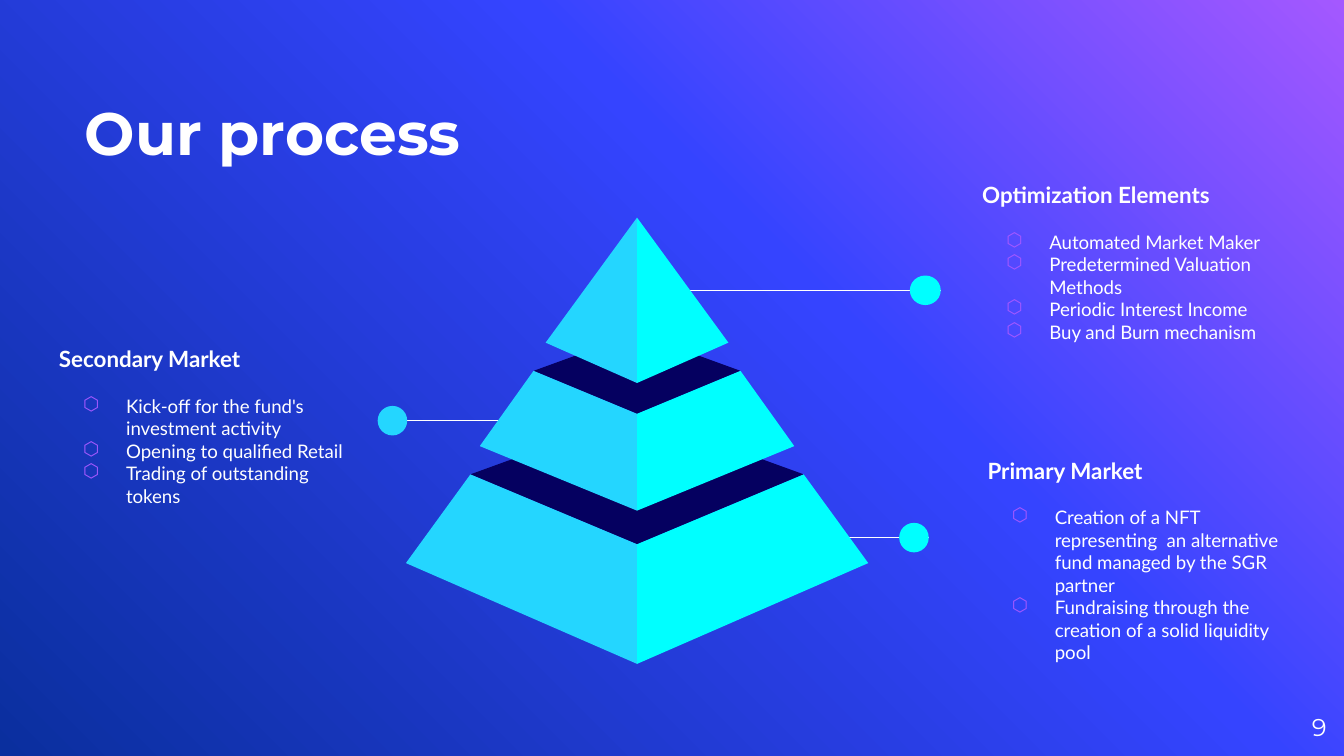
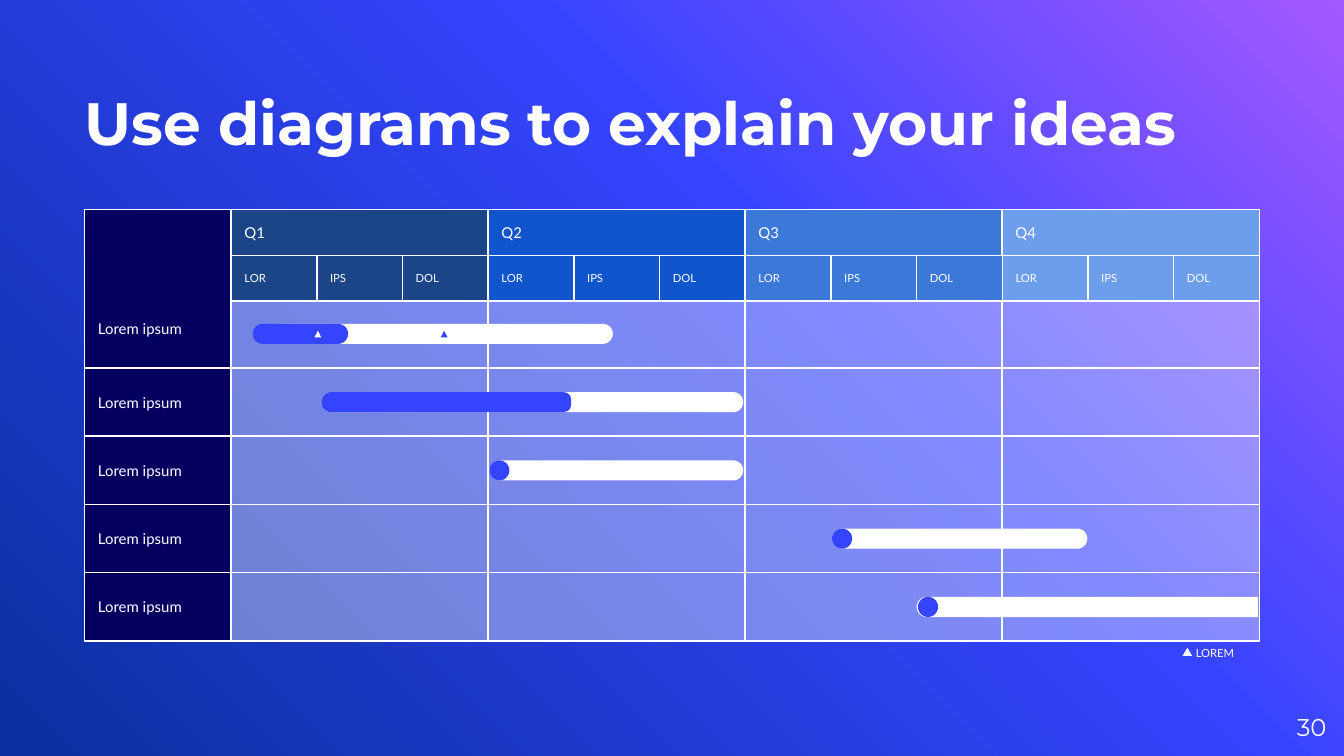
from lxml.etree import SubElement
from pptx import Presentation
from pptx.dml.color import RGBColor
from pptx.enum.shapes import MSO_CONNECTOR, MSO_SHAPE as Preset
from pptx.enum.text import MSO_ANCHOR as Anchor, PP_ALIGN as Align
from pptx.oxml.ns import qn
from pptx.util import Inches, Pt

COLORS = {
    "white": "FFFFFF", "purple": "A458FF", "blue": "3544FF", "deep": "0A2F9E",
    "navy": "050060", "sky": "24D6FF", "cyan": "00FFFF",
    "Q1": "1C4587", "Q2": "1155CC", "Q3": "3C78D8", "Q4": "6D9EEB",
}
BACKGROUND_STOPS = [(0, "purple"), (39, "blue"), (100, "deep")]


def paint(shape, fill, outlined=False, opacity=None):
    """Give a shape a flat fill, an optional white outline and no shadow."""
    shape.shadow.inherit = False
    shape.fill.solid()
    shape.fill.fore_color.rgb = RGBColor.from_string(COLORS[fill])
    if opacity:
        color = shape._element.spPr.find(qn("a:solidFill"))[0]
        SubElement(color, qn("a:alpha"), val=str(opacity * 1000))
    if outlined:
        shape.line.color.rgb = RGBColor.from_string(COLORS["white"])
        shape.line.width = Pt(0.75)
    else:
        shape.line.fill.background()
    return shape


def write(shape, text, size, bullets=(), font="Lato", bold=False,
          align=Align.LEFT, anchor=Anchor.MIDDLE, inset=0.1):
    """Set white text in a shape, followed by hexagon bullets if given."""
    frame = shape.text_frame
    margins = dict.fromkeys(
        ["margin_left", "margin_top", "margin_right", "margin_bottom"], Inches(inset))
    for name, value in {"word_wrap": True, "vertical_anchor": anchor, **margins}.items():
        setattr(frame, name, value)
    for index, line in enumerate([text, *bullets]):
        paragraph = frame.add_paragraph() if index else frame.paragraphs[0]
        paragraph.alignment = align
        if index:
            properties = paragraph._p.get_or_add_pPr()
            properties.set("marL", str(Inches(0.5)))
            properties.set("indent", str(Inches(-0.32)))
            bullet_color = SubElement(properties, qn("a:buClr"))
            SubElement(bullet_color, qn("a:srgbClr"), val=COLORS["purple"])
            SubElement(properties, qn("a:buChar"), char="⬡")
        elif bullets:
            paragraph.space_after = Pt(12)
        run = paragraph.add_run()
        run.text = line
        style = {"name": font, "size": Pt(10 if index else size), "bold": bold and not index}
        for name, value in style.items():
            setattr(run.font, name, value)
        run.font.color.rgb = RGBColor.from_string(COLORS["white"])


presentation = Presentation()
presentation.slide_width = Inches(10)
presentation.slide_height = presentation.slide_width * 9 // 16

# Shared background, title and page number
slides = []
for title, top, width, number in [
    ("Our process", 0.31, 6.58, "9"),
    ("Use diagrams to explain your ideas", 0.23, 8.74, "30"),
]:
    slide = presentation.slides.add_slide(presentation.slide_layouts[6])
    fill = slide.background.fill
    fill.gradient()
    gradient = slide.background._cSld.find(".//" + qn("a:gradFill"))
    stops = gradient.find(qn("a:gsLst"))
    for stop in list(stops):
        stops.remove(stop)
    for position, color in BACKGROUND_STOPS:
        stop = SubElement(stops, qn("a:gs"), pos=str(position * 1000))
        SubElement(stop, qn("a:srgbClr"), val=COLORS[color])
    direction = gradient.find(qn("a:lin"))
    direction.set("ang", str(135 * 60000))
    direction.set("scaled", "0")

    box = slide.shapes.add_textbox(Inches(0.63), Inches(top), Inches(width), Inches(0.94))
    write(box, title, 32, font="Montserrat", bold=True, anchor=Anchor.BOTTOM, inset=0)
    box = slide.shapes.add_textbox(Inches(9.27), Inches(5.19), Inches(0.6), Inches(0.43))
    write(box, number, 13, font="Montserrat", align=Align.RIGHT, inset=0)
    slides.append(slide)

process, timeline = slides

# Process: callout lines and dots, partly behind the pyramid
for start, end, y, dot_left, dot_width, color in [
    (6.27, 6.91, 4, 6.69, 0.22, "cyan"),
    (4.03, 2.88, 3.13, 2.81, 0.22, "sky"),
    (5.03, 7, 2.16, 6.77, 0.23, "cyan"),
]:
    line = process.shapes.add_connector(
        MSO_CONNECTOR.STRAIGHT, Inches(start), Inches(y), Inches(end), Inches(y))
    line.line.color.rgb = RGBColor.from_string(COLORS["white"])
    line.line.width = Pt(0.75)
    SubElement(line._element.spPr, qn("a:effectLst"))
    dot = process.shapes.add_shape(
        Preset.OVAL, Inches(dot_left), Inches(y - 0.11), Inches(dot_width), Inches(0.22))
    paint(dot, color)

# Process: pyramid tiers from the base up, mirrored about the centre
CENTER = 4.74
for back, shoulder, ridge, base, tip, top_half, base_half in [
    (3.08, 3.53, 4.05, 4.19, 4.94, 1.24, 1.72),
    (2.48, 2.76, 3.08, 3.32, 3.8, 0.77, 1.17),
    (1.62, 1.62, 1.62, 2.55, 2.85, 0, 0.68),
]:
    outlines = []
    if top_half:
        outlines.append(("navy", [(CENTER - top_half, shoulder), (CENTER, ridge),
                                  (CENTER + top_half, shoulder), (CENTER, back)]))
    for side, color in [(-1, "sky"), (1, "cyan")]:
        face = [(CENTER, ridge), (CENTER + side * base_half, base), (CENTER, tip)]
        if top_half:
            face.insert(1, (CENTER + side * top_half, shoulder))
        outlines.append((color, face))
    for color, points in outlines:
        corners = [(Inches(x), Inches(y)) for x, y in points]
        builder = process.shapes.build_freeform(*corners[0], scale=1.0)
        builder.add_line_segments(corners[1:], close=True)
        paint(builder.convert_to_shape(), color)

# Process: market notes
for left, top, height, heading, bullets in [
    (0.34, 2.47, 1.41, "Secondary Market", [
        "Kick-off for the fund's investment activity",
        "Opening to qualified Retail",
        "Trading of outstanding tokens"]),
    (7.25, 3.3, 1.75, "Primary Market", [
        "Creation of a NFT representing  an alternative fund managed by the SGR partner",
        "Fundraising through the creation of a solid liquidity pool"]),
    (7.21, 1.25, 1.41, "Optimization Elements", [
        "Automated Market Maker",
        "Predetermined Valuation Methods",
        "Periodic Interest Income",
        "Buy and Burn mechanism"]),
]:
    box = process.shapes.add_textbox(Inches(left), Inches(top), Inches(2.4), Inches(height))
    write(box, heading, 12, bullets, bold=True, anchor=Anchor.TOP)

# Timeline: quarters, months and translucent cells
LABEL_LEFT, GRID_LEFT, GRID_RIGHT = 0.63, 1.72, 9.37
HEADER_TOP, HEADER_HEIGHT = 1.56, 0.34
ROWS_TOP, ROWS_BOTTOM, ROW_COUNT = 2.23, 4.77, 5
quarter_width = (GRID_RIGHT - GRID_LEFT) / 4
month_width = quarter_width / 3
row_height = (ROWS_BOTTOM - ROWS_TOP) / ROW_COUNT

for column, quarter in enumerate(["Q1", "Q2", "Q3", "Q4"]):
    left = GRID_LEFT + column * quarter_width
    for row in range(ROW_COUNT):
        cell = timeline.shapes.add_shape(
            Preset.RECTANGLE, Inches(left), Inches(ROWS_TOP + row * row_height),
            Inches(quarter_width), Inches(row_height))
        paint(cell, "white", outlined=True, opacity=38)
    headers = [(quarter, left, HEADER_TOP, quarter_width, 8)]
    for index, month in enumerate(["LOR", "IPS", "DOL"]):
        headers.append((month, left + index * month_width,
                        HEADER_TOP + HEADER_HEIGHT, month_width, 6))
    for text, x, y, width, size in headers:
        header = timeline.shapes.add_shape(
            Preset.RECTANGLE, Inches(x), Inches(y), Inches(width), Inches(HEADER_HEIGHT))
        write(paint(header, quarter, outlined=True), text, size)

# Timeline: row labels, the first one reaching up beside the headers
for row in range(ROW_COUNT):
    top = ROWS_TOP + row * row_height if row else HEADER_TOP
    bottom = ROWS_TOP + (row + 1) * row_height
    label = timeline.shapes.add_shape(
        Preset.RECTANGLE, Inches(LABEL_LEFT), Inches(top),
        Inches(GRID_LEFT - LABEL_LEFT), Inches(bottom - top))
    write(paint(label, "navy", outlined=True), "Lorem ipsum", 8,
          anchor=Anchor.MIDDLE if row else Anchor.BOTTOM)
    if row == 0:
        label.text_frame.margin_bottom = Inches(0.23)

# Timeline: bars are upright shapes turned a quarter, so their top is the right end
BAR = 0.15
for row, left, length, color, right_rounding in [
    (0, 2.03, 2.53, "white", 0.5), (0, 1.88, 0.71, "blue", 0.5),
    (1, 2.39, 3.14, "white", 0.5), (1, 2.39, 1.86, "blue", 0.38),
    (2, 3.64, 1.89, "white", 0.5), (2, 3.64, BAR, "blue", 0.5),
    (3, 6.19, 1.9, "white", 0.5), (3, 6.19, BAR, "blue", 0.5),
    (4, 6.82, 2.54, "white", 0), (4, 6.83, BAR, "blue", 0.5),
]:
    middle = ROWS_TOP + (row + 0.5) * row_height
    bar = timeline.shapes.add_shape(
        Preset.ROUND_2_SAME_RECTANGLE, Inches(left + (length - BAR) / 2),
        Inches(middle - length / 2), Inches(BAR), Inches(length))
    bar.rotation = 90
    bar.adjustments[0] = right_rounding
    bar.adjustments[1] = 0.5
    paint(bar, color)

# Timeline: milestones and their legend
for left, top, width, height, color in [
    (2.34, 2.46, 0.05, 0.05, "white"),
    (3.28, 2.46, 0.05, 0.05, "blue"),
    (8.8, 4.82, 0.07, 0.06, "white"),
]:
    milestone = timeline.shapes.add_shape(
        Preset.ISOSCELES_TRIANGLE, Inches(left), Inches(top), Inches(width), Inches(height))
    paint(milestone, color)
legend = timeline.shapes.add_textbox(Inches(8.8), Inches(4.8), Inches(0.56), Inches(0.11))
write(legend, "LOREM", 6)

presentation.save("out.pptx")
